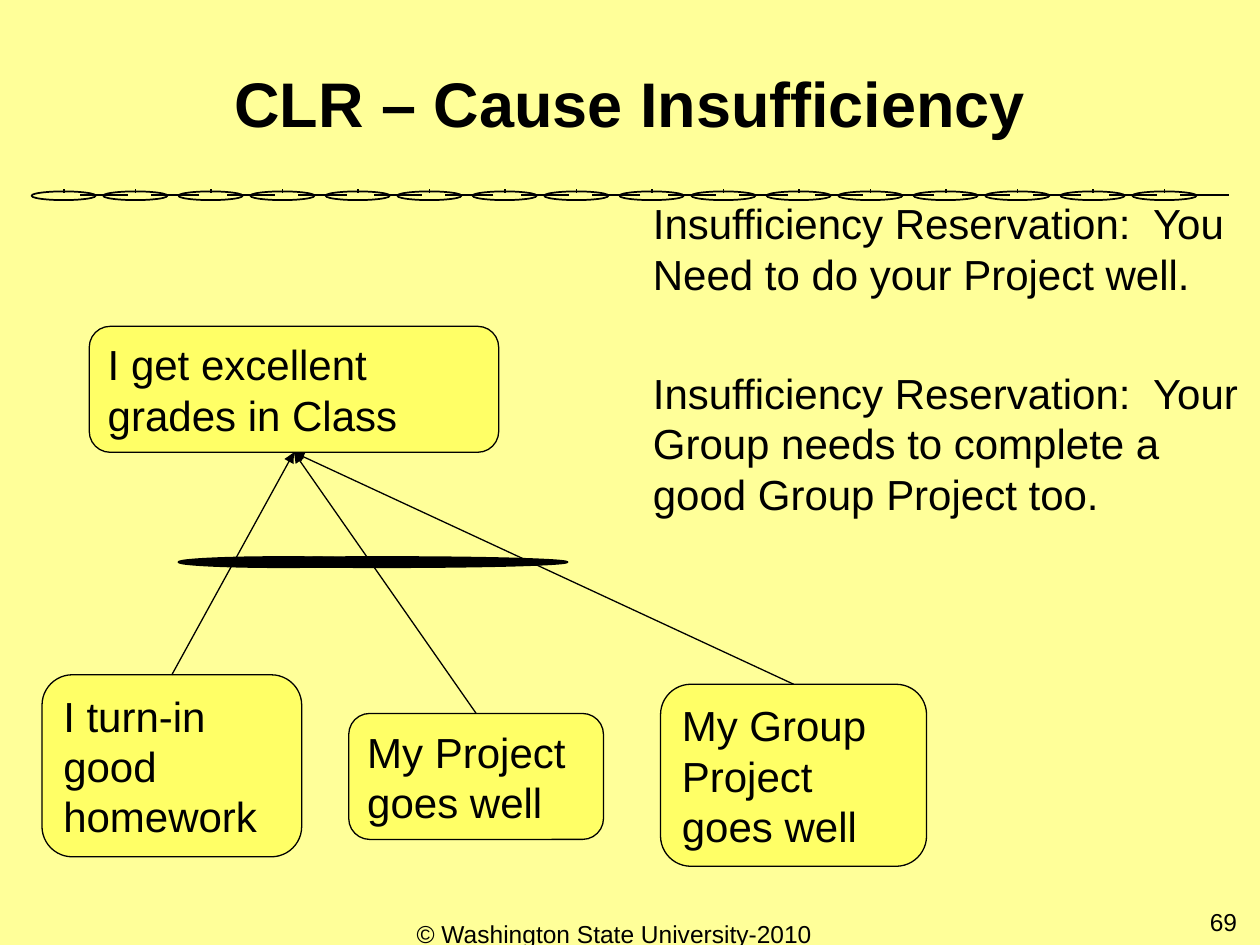
from pptx import Presentation
from pptx.dml.color import RGBColor
from pptx.enum.shapes import MSO_CONNECTOR as Conn, MSO_SHAPE as Kind
from pptx.enum.text import MSO_ANCHOR as Anchor, PP_ALIGN as Align
from pptx.oxml.ns import qn
from pptx.util import Pt
from lxml.etree import SubElement as Sub

INK = "000000"
PAPER = "FFFF99"
CARD = "FFFF66"
BODY = {"name": "Arial", "size": Pt(24), "bold": False}
HEAD = {**BODY, "size": Pt(36), "bold": True}
FOOT = {**BODY, "size": Pt(14)}
INSET = {"margin_left": Pt(7.2), "margin_right": Pt(7.2),
         "margin_top": Pt(3.6), "margin_bottom": Pt(3.6), "word_wrap": True}


def color(part, code):
    part.rgb = RGBColor.from_string(code)


def paint(fill, code):
    fill.solid()
    color(fill.fore_color, code)


def apply(item, values):
    for name, value in values.items():
        setattr(item, name, value)


def write(shape, text, style, align=Align.LEFT, anchor=Anchor.TOP, lead=1.0):
    frame = shape.text_frame
    apply(frame, {**INSET, "vertical_anchor": anchor})
    para = frame.paragraphs[0]
    para.text = text
    apply(para, {"alignment": align, "line_spacing": lead})
    apply(para.font, style)
    color(para.font.color, INK)


def label(slide, box, text, style, **look):
    write(slide.shapes.add_textbox(*map(Pt, box)), text, style, **look)


def form(slide, kind, box, fill=None, width=1):
    shape = slide.shapes.add_shape(kind, *map(Pt, box))
    shape.shadow.inherit = False
    if fill:
        paint(shape.fill, fill)
    else:
        shape.fill.background()
    color(shape.line.color, INK)
    shape.line.width = Pt(width)
    return shape


def card(slide, box, text):
    shape = form(slide, Kind.ROUNDED_RECTANGLE, box, CARD, 0.75)
    write(shape, text, BODY, anchor=Anchor.MIDDLE)
    return shape


def line(slide, ends=(0, 0, 0, 0), width=1):
    link = slide.shapes.add_connector(Conn.STRAIGHT, *map(Pt, ends))
    color(link.line.color, INK)
    link.line.width = Pt(width)
    Sub(link._element.spPr, qn("a:effectLst"))
    return link


def arrow(slide, cause, goal):
    link = line(slide, width=0.75)
    link.begin_connect(cause, 0)
    link.end_connect(goal, 2)
    Sub(link.line._get_or_add_ln(), qn("a:tailEnd"), type="triangle")


def chain(slide):
    for pair in range(8):
        for step in (0, 41):
            x = 18 + 84 * pair + step
            form(slide, Kind.OVAL, (x, 109.4, 36.7, 5))
            line(slide, (x + 18.4, 108, x + 18.4, 110.2))
            line(slide, (x + 55, 111.6, x + 27.5, 111.6))


def main():
    deck = Presentation()
    apply(deck, {"slide_width": Pt(720), "slide_height": Pt(540)})
    slide = deck.slides.add_slide(deck.slide_layouts[6])
    paint(slide.background.fill, PAPER)
    chain(slide)
    label(slide, (0, 30, 720, 54), "CLR – Cause Insufficiency", HEAD,
          align=Align.CENTER, anchor=Anchor.BOTTOM, lead=0.9)

    goal = card(slide, (51, 186.5, 234, 72), "I get excellent grades in Class")
    causes = [
        ((24, 385.6, 148.4, 104), "I turn-in good homework"),
        ((199.3, 407.7, 145.6, 72), "My Project goes well"),
        ((377.5, 391, 152, 104), "My Group Project  goes well"),
    ]
    for box, text in causes:
        arrow(slide, card(slide, box, text), goal)
    for x, width in ((102, 120), (112.3, 212)):
        form(slide, Kind.OVAL, (x, 318.3, width, 5.8), INK)

    label(slide, (366, 109.5, 354, 65),
          "Insufficiency Reservation:  You Need to do your Project well.", BODY)
    label(slide, (366, 206.5, 354, 94),
          "Insufficiency Reservation:  Your Group needs to complete "
          "a good Group Project too.", BODY)
    label(slide, (546, 515, 168, 37.5), "69", FOOT, align=Align.RIGHT)
    label(slide, (216, 521.5, 270, 37.5), "© Washington State University-2010",
          FOOT, align=Align.CENTER)
    deck.save("out.pptx")


if __name__ == "__main__":
    main()
